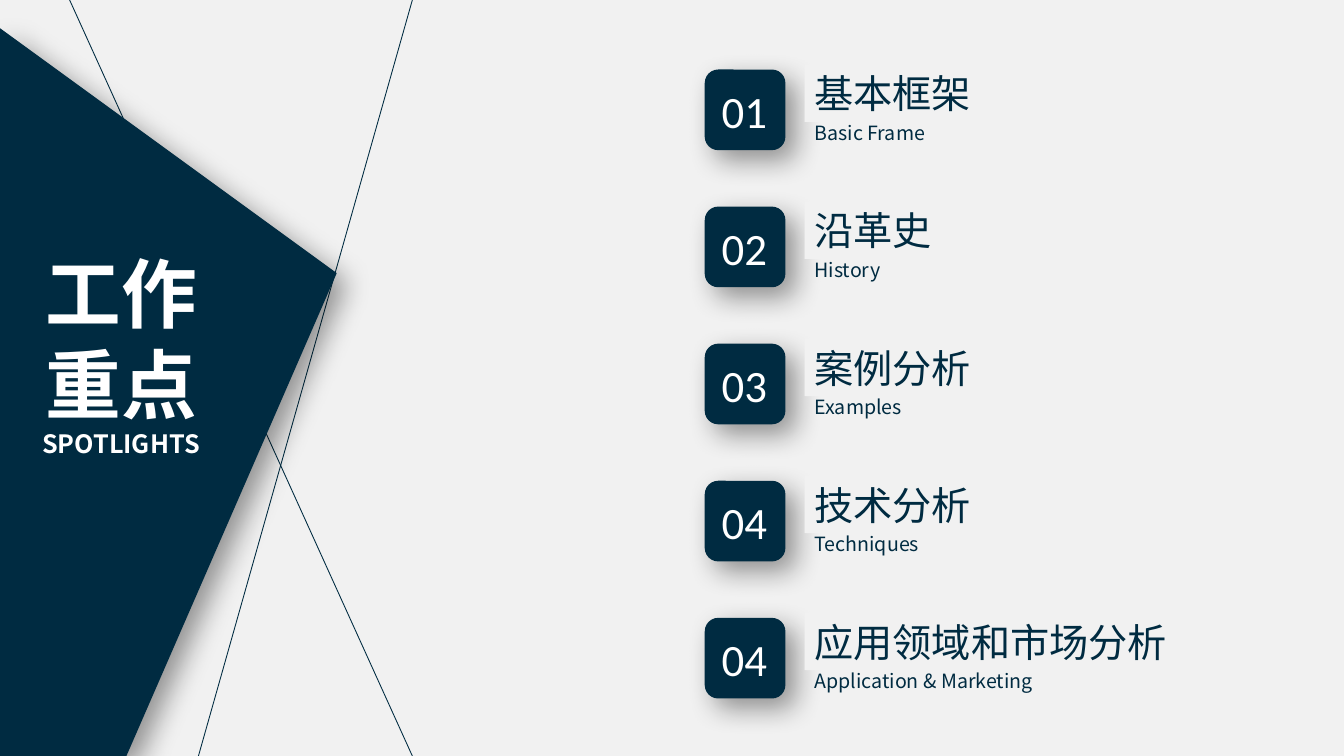
"""Builds an agenda slide: a dark title wedge on the left and five numbered topics."""
from dataclasses import dataclass

import lxml.etree
import pptx
import pptx.dml.color
import pptx.enum.shapes
import pptx.enum.text
import pptx.oxml.ns
import pptx.shapes.autoshape
import pptx.shapes.base
import pptx.slide
import pptx.text.text
import pptx.util

Inches = pptx.util.Inches
SHAPES = pptx.enum.shapes.MSO_SHAPE
COLORS = {"navy": "002B41", "paper": "F1F1F1", "white": "FFFFFF", "shadow": "000000"}
CJK_FONT = "Noto Sans CJK SC"
FIRST_TOP = 0.69
PITCH = 1.36


@dataclass(frozen=True)
class Topic:
    number: str
    heading: str
    heading_width: float
    caption: str
    caption_width: float


@dataclass(frozen=True)
class Ray:
    start: tuple[float, float]
    end: tuple[float, float]


TOPICS = [
    Topic("01", "基本框架", 3.17, "Basic Frame", 1.32),
    Topic("02", "沿革史", 3.17, "History", 0.88),
    Topic("03", "案例分析", 3.17, "Examples", 1.09),
    Topic("04", "技术分析", 4.57, "Techniques", 1.25),
    Topic("04", "应用领域和市场分析", 4.57, "Application & Marketing", 2.53),
]
RAYS = [Ray((4.09, 0), (1.94, 7.6)), Ray((4.09, 7.5), (0.6, -0.2))]
WEDGE = [(1.25, 7.51), (0, 7.51), (0, 0.28), (3.34, 2.71)]


def rgb(color: str) -> pptx.dml.color.RGBColor:
    return pptx.dml.color.RGBColor.from_string(COLORS[color])


def add_effects(parent: lxml.etree._Element) -> lxml.etree._Element:
    return lxml.etree.SubElement(parent, pptx.oxml.ns.qn("a:effectLst"))


def fill_plain(shape: pptx.shapes.autoshape.Shape, color: str) -> None:
    shape.fill.solid()
    shape.fill.fore_color.rgb = rgb(color)
    shape.line.fill.background()
    shape.shadow.inherit = False


def cast_shadow(shape: pptx.shapes.autoshape.Shape) -> None:
    qn = pptx.oxml.ns.qn
    effects = shape._element.spPr.find(qn("a:effectLst"))
    shadow = lxml.etree.SubElement(
        effects, qn("a:outerShdw"), blurRad=str(pptx.util.Pt(20)),
        dist=str(pptx.util.Pt(10)), dir="2700000", algn="tl", rotWithShape="0")
    tint = lxml.etree.SubElement(shadow, qn("a:srgbClr"), val=COLORS["shadow"])
    lxml.etree.SubElement(tint, qn("a:alpha"), val="40000")


def style(paragraph: pptx.text.text._Paragraph, color: str, font: str = CJK_FONT,
          size: float | None = None) -> None:
    paragraph.font.name = font
    paragraph.font.color.rgb = rgb(color)
    if size:
        paragraph.font.size = pptx.util.Pt(size)
    defaults = paragraph._p.pPr.find(pptx.oxml.ns.qn("a:defRPr"))
    lxml.etree.SubElement(defaults, pptx.oxml.ns.qn("a:ea"), typeface=font)


def add_label(slide: pptx.slide.Slide, box: tuple[float, float, float, float],
              text: str, color: str, size: float, font: str = CJK_FONT) -> None:
    label = slide.shapes.add_textbox(*map(Inches, box))
    label.text_frame.word_wrap = False
    label.text_frame.auto_size = pptx.enum.text.MSO_AUTO_SIZE.SHAPE_TO_FIT_TEXT
    paragraph = label.text_frame.paragraphs[0]
    paragraph.text = text
    style(paragraph, color, font, size)


def add_ray(slide: pptx.slide.Slide, ray: Ray) -> None:
    line = slide.shapes.add_connector(
        pptx.enum.shapes.MSO_CONNECTOR.STRAIGHT, *map(Inches, ray.start + ray.end))
    line.line.color.rgb = rgb("navy")
    line.line.width = pptx.util.Pt(0.63)
    add_effects(line._element.spPr)


def add_title(slide: pptx.slide.Slide) -> None:
    corners = [(Inches(x), Inches(y)) for x, y in WEDGE]
    builder = slide.shapes.build_freeform(*corners[0])
    builder.add_line_segments(corners[1:], close=True)
    wedge = builder.convert_to_shape()
    fill_plain(wedge, "navy")
    cast_shadow(wedge)

    title = slide.shapes.add_textbox(*map(Inches, (0.24, 2.4, 1.92, 2.22)))
    title.text_frame.word_wrap = True
    paragraph = title.text_frame.paragraphs[0]
    paragraph.alignment = pptx.enum.text.PP_ALIGN.CENTER
    paragraph.font.bold = True
    style(paragraph, "white")
    for text, size in (("工作重点", 54), ("SPOTLIGHTS", 18)):
        run = paragraph.add_run()
        run.text = text
        run.font.size = pptx.util.Pt(size)


def add_topic(slide: pptx.slide.Slide, topic: Topic, top: float) -> None:
    badge = slide.shapes.add_shape(
        SHAPES.ROUNDED_RECTANGLE, *map(Inches, (6.99, top, 0.8, 0.8)))
    fill_plain(badge, "navy")
    cast_shadow(badge)
    add_label(slide, (7.06, top + 0.09, 0.66, 0.64), topic.number, "white", 32, "Calibri")
    add_label(slide, (7.98, top + 0.46, topic.caption_width, 0.34),
              topic.caption, "navy", 14)

    heading = slide.shapes.add_shape(
        SHAPES.RECTANGLE, *map(Inches, (7.98, top - 0.05, topic.heading_width, 0.57)))
    fill_plain(heading, "paper")
    heading.text_frame.word_wrap = True
    heading.text_frame.vertical_anchor = pptx.enum.text.MSO_ANCHOR.MIDDLE
    paragraph = heading.text_frame.paragraphs[0]
    paragraph.text = topic.heading
    paragraph.alignment = pptx.enum.text.PP_ALIGN.LEFT
    style(paragraph, "navy", size=28)


def main() -> None:
    deck = pptx.Presentation()
    deck.slide_width, deck.slide_height = Inches(13.33), Inches(7.5)
    slide = deck.slides.add_slide(deck.slide_layouts[6])
    slide.background.fill.solid()
    slide.background.fill.fore_color.rgb = rgb("paper")
    for ray in RAYS:
        add_ray(slide, ray)
    add_title(slide)
    for index, topic in enumerate(TOPICS):
        add_topic(slide, topic, FIRST_TOP + index * PITCH)
    deck.save("out.pptx")


if __name__ == "__main__":
    main()
